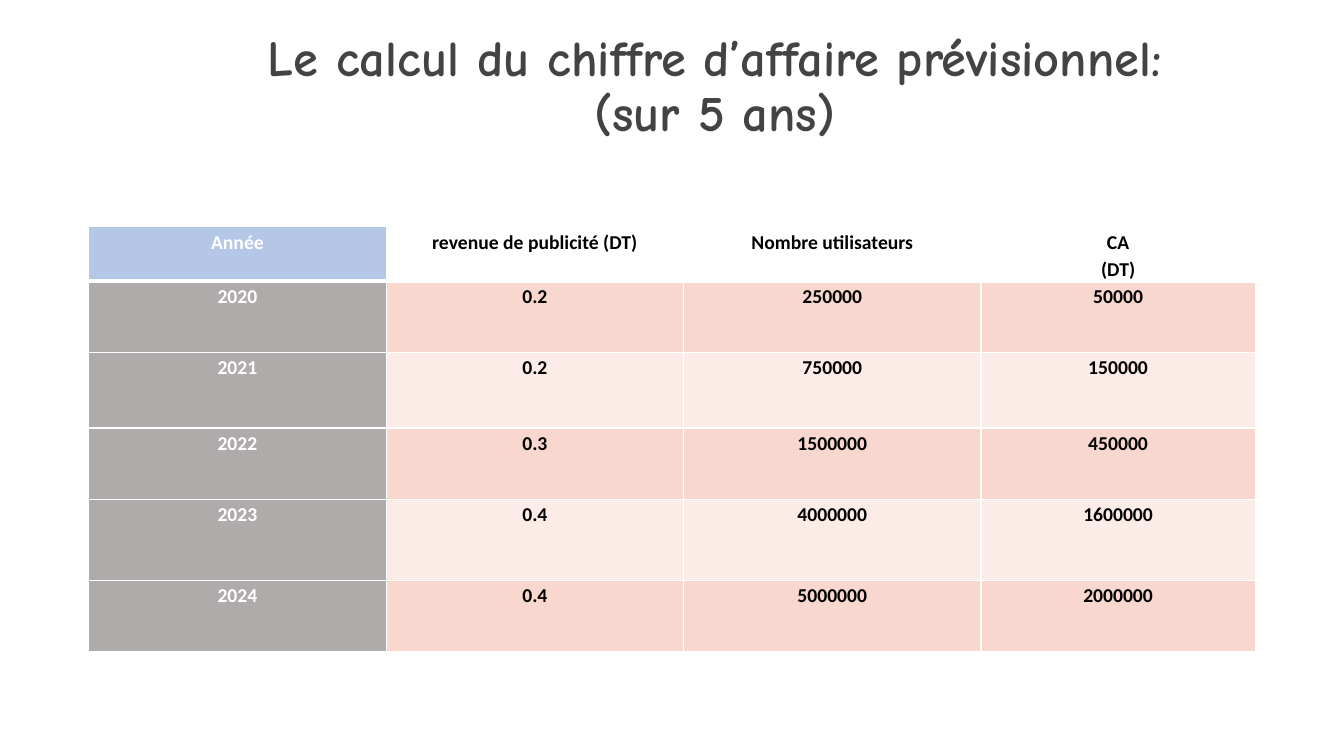
from dataclasses import dataclass
from lxml import etree
from pptx import Presentation
from pptx.dml.color import RGBColor
from pptx.enum.text import MSO_ANCHOR as Anchor, PP_ALIGN as Align
from pptx.oxml.ns import qn
from pptx.util import Inches, Pt

WHITE, BLACK = "FFFFFF", "000000"
HEADER_BLUE, YEAR_GRAY = "B4C7E7", "AFABAB"
BANDS = ["F8D7CE", "FCECE8"]


@dataclass
class TextStyle:
    font: str
    size: float
    color: str
    spacing: float


@dataclass
class YearForecast:
    year: str
    ad_revenue: str
    users: str
    turnover: str
    height: float

    def texts(self) -> list[str]:
        return [self.year, self.ad_revenue, self.users, self.turnover]


HEADERS = ["Année", "revenue de publicité (DT)", "Nombre utilisateurs", "CA\n(DT)"]
HEADER_HEIGHT = 0.52
COL_WIDTHS = [2.95, 2.95, 2.95, 2.72]
FORECASTS = [
    YearForecast("2020", "0.2", "250000", "50000", 0.71),
    YearForecast("2021", "0.2", "750000", "150000", 0.75),
    YearForecast("2022", "0.3", "1500000", "450000", 0.71),
    YearForecast("2023", "0.4", "4000000", "1600000", 0.8),
    YearForecast("2024", "0.4", "5000000", "2000000", 0.71),
]


def rgb(color: str) -> RGBColor:
    return RGBColor.from_string(color)


def write_text(tf, text: str, style: TextStyle) -> None:
    tf.text = text
    for p in tf.paragraphs:
        p.alignment = Align.CENTER
        p.line_spacing = style.spacing
        for r in p.runs:
            r.font.name = style.font
            r.font.size = Pt(style.size)
            r.font.bold = True
            r.font.color.rgb = rgb(style.color)


def add_borders(cell, bottom: float) -> None:
    tc_pr = cell._tc.get_or_add_tcPr()
    for side, width in (("L", 1), ("R", 1), ("T", 1), ("B", bottom)):
        ln = etree.SubElement(tc_pr, qn(f"a:ln{side}"), w=str(Pt(width)))
        fill = etree.SubElement(ln, qn("a:solidFill"))
        etree.SubElement(fill, qn("a:srgbClr"), val=WHITE)


def draw_cell(cell, text: str, fill: str, color: str, bottom: float) -> None:
    cell.margin_left = cell.margin_right = Inches(0.08)
    cell.margin_top = cell.margin_bottom = 0
    add_borders(cell, bottom)
    cell.fill.solid()
    cell.fill.fore_color.rgb = rgb(fill)
    write_text(cell.text_frame, text, TextStyle("Calibri", 14, color, 1.15))


def draw_title(slide) -> None:
    sp = slide.shapes.add_textbox(Inches(2.13), Inches(0.28), Inches(9.92), Inches(1.47))
    tf = sp.text_frame
    tf.word_wrap = True
    tf.vertical_anchor = Anchor.TOP
    tf.margin_left = tf.margin_right = tf.margin_top = tf.margin_bottom = Inches(0.05)
    write_text(tf, "Le calcul du chiffre d’affaire prévisionnel:\n(sur 5 ans)",
               TextStyle("Comic Neue", 36, "434343", 0.9))


def draw_forecast_table(slide) -> None:
    heights = [HEADER_HEIGHT] + [f.height for f in FORECASTS]
    table = slide.shapes.add_table(
        len(heights), len(COL_WIDTHS), Inches(0.88), Inches(2.25),
        Inches(sum(COL_WIDTHS)), Inches(sum(heights))).table
    for column, width in zip(table.columns, COL_WIDTHS):
        column.width = Inches(width)
    for row, height in zip(table.rows, heights):
        row.height = Inches(height)

    # Header row
    for c, text in enumerate(HEADERS):
        fill, color = (WHITE, BLACK) if c else (HEADER_BLUE, WHITE)
        draw_cell(table.cell(0, c), text, fill, color, bottom=3)

    # One banded row per year
    for i, forecast in enumerate(FORECASTS):
        for c, text in enumerate(forecast.texts()):
            fill, color = (BANDS[i % 2], BLACK) if c else (YEAR_GRAY, WHITE)
            draw_cell(table.cell(i + 1, c), text, fill, color, bottom=1)


def main() -> None:
    prs = Presentation()
    prs.slide_width, prs.slide_height = Inches(13.33), Inches(7.5)
    s = prs.slides.add_slide(prs.slide_layouts[6])
    draw_title(s)
    draw_forecast_table(s)
    prs.save("out.pptx")


if __name__ == "__main__":
    main()
